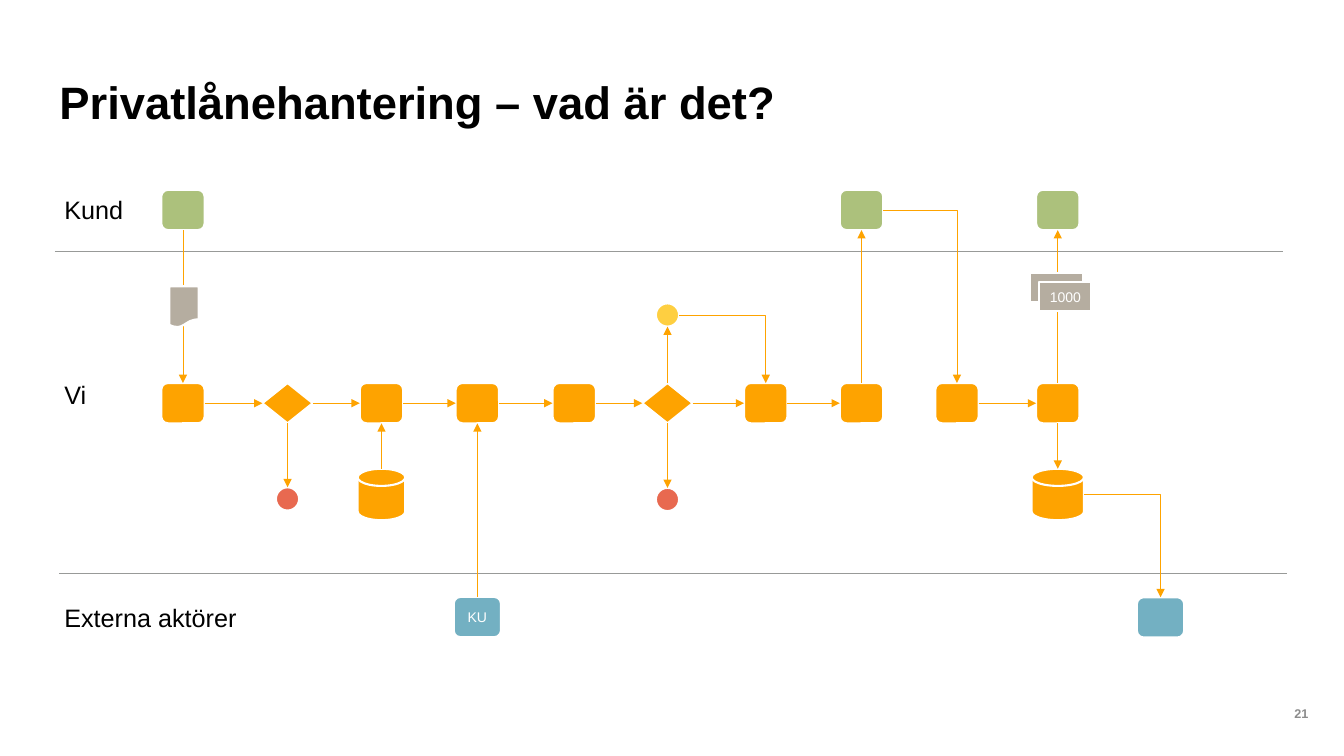
from dataclasses import dataclass
from lxml import etree
from pptx import Presentation
from pptx.dml.color import RGBColor
from pptx.enum.shapes import MSO_CONNECTOR as Connector, MSO_SHAPE as Preset
from pptx.enum.text import MSO_ANCHOR as Anchor, PP_ALIGN as Align
from pptx.oxml.ns import qn
from pptx.util import Pt


@dataclass(frozen=True)
class Theme:
    font: str = "Arial"
    black: str = "000000"
    white: str = "FFFFFF"
    orange: str = "FEA300"
    green: str = "ACC17C"
    blue: str = "73B0C2"
    red: str = "E86950"
    yellow: str = "FECF41"
    stone: str = "B5ADA0"
    lane_line: str = "989A98"
    page_grey: str = "8C8C8C"
    title_size: float = 32.4
    label_size: float = 18
    node_size: float = 10
    page_size: float = 9


theme = Theme()
presentation = Presentation()
presentation.slide_width, presentation.slide_height = Pt(960), Pt(540)
slide = presentation.slides.add_slide(presentation.slide_layouts[6])
shapes = slide.shapes


def write(shape, text, size, color, bold=False, align=Align.LEFT, anchor=Anchor.TOP, wrap=True):
    frame = shape.text_frame
    frame.word_wrap = wrap
    frame.vertical_anchor = anchor
    paragraph = frame.paragraphs[0]
    paragraph.text = text
    paragraph.alignment = align
    font = paragraph.font
    font.name, font.size, font.bold = theme.font, Pt(size), bold
    font.color.rgb = RGBColor.from_string(color)
    return paragraph


def add_line(kind, start, end, color, arrow=False):
    line = shapes.add_connector(kind, *start, *end)
    line.line.width = Pt(0.5)
    line.line.color.rgb = RGBColor.from_string(color)
    properties = line._element.spPr
    if arrow:
        etree.SubElement(properties.find(qn("a:ln")), qn("a:tailEnd"), type="triangle")
    if kind == Connector.ELBOW:  # a single corner: across, then down
        properties.find(qn("a:prstGeom")).set("prst", "bentConnector2")
    etree.SubElement(properties, qn("a:effectLst"))


# Title and page number
title = shapes.add_textbox(Pt(42.5), Pt(50.4), Pt(856.8), Pt(45.4))
title.text_frame.margin_left = 0
write(title, "Privatlånehantering – vad är det?", theme.title_size, theme.black,
      bold=True, anchor=Anchor.BOTTOM).line_spacing = 0.9
page = shapes.add_textbox(Pt(899.3), Pt(479.5), Pt(60.5), Pt(60.5))
write(page, "21", theme.page_size, theme.page_grey, bold=True,
      align=Align.CENTER, anchor=Anchor.MIDDLE)

# Swimlanes
for text, top, width in [("Kund", 135.4, 56.9), ("Vi", 267.1, 30.2),
                         ("Externa aktörer", 427, 139)]:
    label = shapes.add_textbox(Pt(38.9), Pt(top), Pt(width), Pt(28.8))
    write(label, text, theme.label_size, theme.black, wrap=False)
for left, y in [(39.2, 179.3), (42.5, 409.7)]:
    add_line(Connector.STRAIGHT, (Pt(left), Pt(y)), (Pt(left + 877), Pt(y)), theme.lane_line)

# Nodes: name, preset, centre x, centre y, width, height, colour, text
BOX, DIAMOND = Preset.FLOWCHART_ALTERNATE_PROCESS, Preset.FLOWCHART_DECISION
DISK, DOT = Preset.FLOWCHART_MAGNETIC_DISK, Preset.OVAL
step_centres = [130.7, 205.4, 272.5, 341, 410.2, 476.8, 547, 615.4, 683.6, 755.6]
checks = (1, 5)  # the steps that are decisions
node_rows = [
    (f"step{i}", DIAMOND if i in checks else BOX, x, 288, 36 if i in checks else 31,
     28.8, theme.orange, "")
    for i, x in enumerate(step_centres)
]
node_rows += [
    (name, BOX, step_centres[i], 150, 31, 28.8, theme.green, "")
    for name, i in [("application", 0), ("offer", 7), ("payout", 9)]
]
node_rows += [
    ("rejected early", DOT, step_centres[1], 356.4, 16.6, 16.6, theme.red, ""),
    ("rejected late", DOT, step_centres[5], 356.8, 16.6, 16.6, theme.red, ""),
    ("review", DOT, step_centres[5], 225, 16.6, 16.6, theme.yellow, ""),
    ("customer register", DISK, step_centres[2], 353.2, 34, 36.7, theme.orange, ""),
    ("loan register", DISK, step_centres[9], 353.2, 37.4, 36.7, theme.orange, ""),
    ("credit bureau", BOX, step_centres[3], 440.8, 33.8, 28.8, theme.blue, "KU"),
    ("external receiver", BOX, 829, 441, 33.8, 28.8, theme.blue, ""),
]
# Document and banknotes lie on top of the arrows
cover_rows = [
    ("form", Preset.FLOWCHART_DOCUMENT, 131.4, 219.2, 20.9, 29.5, theme.stone, ""),
    ("back note", Preset.RECTANGLE, 754.6, 205.6, 37.4, 20.9, theme.stone, ""),
    ("front note", Preset.RECTANGLE, 761, 212, 37.4, 20.9, theme.stone, "1000"),
]

# Arrows: start node, start side, end node, end side
arrow_rows = [(f"step{i}", "right", f"step{i + 1}", "left") for i in (0, 1, 2, 3, 4, 5, 6, 8)]
arrow_rows += [
    ("application", "bottom", "step0", "top"),
    ("step1", "bottom", "rejected early", "top"),
    ("customer register", "top", "step2", "bottom"),
    ("credit bureau", "top", "step3", "bottom"),
    ("step5", "bottom", "rejected late", "top"),
    ("step5", "top", "review", "bottom"),
    ("review", "right", "step6", "top"),
    ("step7", "top", "offer", "bottom"),
    ("offer", "right", "step8", "top"),
    ("step9", "top", "payout", "bottom"),
    ("step9", "bottom", "loan register", "top"),
    ("loan register", "right", "external receiver", "top"),
]
side_offsets = {"left": (0, 0.5), "right": (1, 0.5), "top": (0.5, 0), "bottom": (0.5, 1)}

# Draw nodes, then arrows, then the covering parts
nodes = {}
for rows, arrows in [(node_rows, arrow_rows), (cover_rows, [])]:
    for name, preset, x, y, width, height, color, text in rows:
        node = shapes.add_shape(preset, Pt(x - width / 2), Pt(y - height / 2), Pt(width), Pt(height))
        node.shadow.inherit = False
        node.fill.solid()
        node.fill.fore_color.rgb = RGBColor.from_string(color)
        node.line.color.rgb = RGBColor.from_string(theme.white)
        node.line.width = Pt(1.5)
        if text:
            write(node, text, theme.node_size, theme.white, align=Align.CENTER, anchor=Anchor.MIDDLE)
        nodes[name] = node
    for start_name, start_side, end_name, end_side in arrows:
        start, end = [
            (int(nodes[name].left + side_offsets[side][0] * nodes[name].width),
             int(nodes[name].top + side_offsets[side][1] * nodes[name].height))
            for name, side in [(start_name, start_side), (end_name, end_side)]
        ]
        turns = start_side == "right" and end_side == "top"
        add_line(Connector.ELBOW if turns else Connector.STRAIGHT, start, end, theme.orange, arrow=True)

presentation.save("out.pptx")
